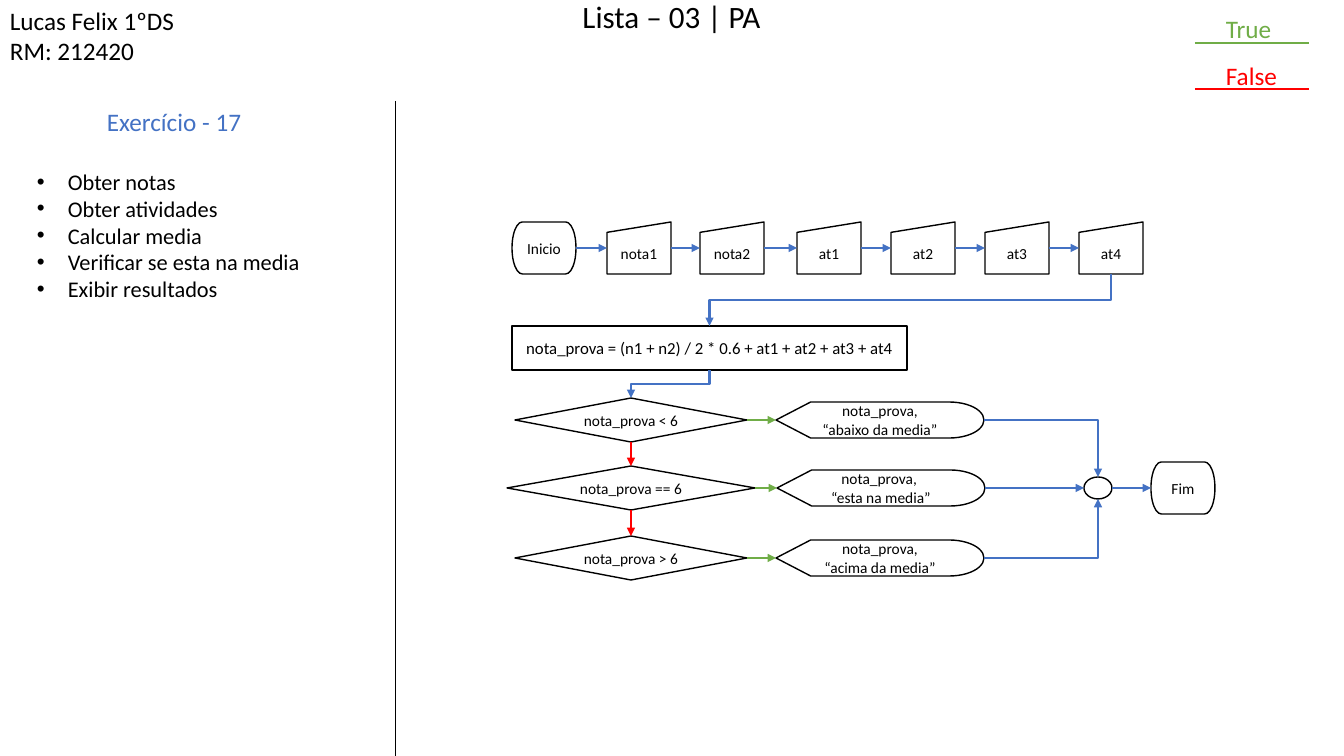
import pptx
import pptx.util
import pptx.dml.color
import pptx.enum.shapes
import pptx.enum.text
import pptx.oxml
import pptx.oxml.ns

SCALE = 914400 / 100.8
BLACK, BLUE, GREEN, RED = "000000", "4472C4", "70AD47", "FF0000"
TOP, LEFT, BOTTOM, RIGHT = range(4)
SHAPE = pptx.enum.shapes.MSO_SHAPE
LINK = pptx.enum.shapes.MSO_CONNECTOR
ALIGN = pptx.enum.text.PP_ALIGN
ANCHOR = pptx.enum.text.MSO_ANCHOR
qn = pptx.oxml.ns.qn


def emu(px):
    """Turn pixels into EMU."""
    return pptx.util.Emu(round(px * SCALE))


def rgb(value):
    """Turn a hex string into a colour."""
    return pptx.dml.color.RGBColor.from_string(value)


def element(xml):
    """Parse one element of the drawing namespace."""
    return pptx.oxml.parse_xml(xml.replace("/>", f" {pptx.oxml.ns.nsdecls('a')}/>", 1))


def write(tf, lines, size, color=BLACK, align=ALIGN.LEFT):
    """Fill a text frame with one paragraph per line."""
    tf.word_wrap = True
    for i, line in enumerate(lines):
        p = tf.add_paragraph() if i else tf.paragraphs[0]
        p.alignment = align
        r = p.add_run()
        r.text = line
        r.font.name = "Calibri"
        r.font.size = pptx.util.Pt(size)
        r.font.color.rgb = rgb(color)


def label(s, box, lines, size, color=BLACK):
    """Add a text box and return its text frame."""
    tf = s.shapes.add_textbox(*map(emu, box)).text_frame
    write(tf, lines, size, color)
    return tf


def node(s, kind, box, lines=(), size=11):
    """Add an outlined flowchart symbol with centred text."""
    sp = s.shapes.add_shape(kind, *map(emu, box))
    sp.shadow.inherit = False
    sp.fill.background()
    sp.line.color.rgb = rgb(BLACK)
    sp.line.width = pptx.util.Pt(1)
    sp.text_frame.vertical_anchor = ANCHOR.MIDDLE
    write(sp.text_frame, lines, size, align=ALIGN.CENTER)
    return sp


def line(s, points, color, width=1.5, kind=LINK.STRAIGHT):
    """Add a plain connector between two points in EMU."""
    c = s.shapes.add_connector(kind, *points)
    c.line.color.rgb = rgb(color)
    c.line.width = pptx.util.Pt(width)
    c._element.spPr.append(element("<a:effectLst/>"))
    return c


def site(sp, side):
    """Return the middle of one side of a shape."""
    x, y = sp.left + sp.width // 2, sp.top + sp.height // 2
    return ((x, sp.top), (sp.left, y), (x, sp.top + sp.height), (sp.left + sp.width, y))[side]


def arrow(s, start, out, end, into, color=BLUE, kind=LINK.STRAIGHT):
    """Add an arrow attached to the sides of two shapes."""
    c = line(s, site(start, out) + site(end, into), color, kind=kind)
    c.begin_connect(start, out)
    c.end_connect(end, into)
    for sp, tag, side in ((start, "a:stCxn", out), (end, "a:endCxn", into)):
        if sp.auto_shape_type == SHAPE.OVAL:
            next(c._element.iter(qn(tag))).set("idx", str(2 * side))
    c.line._ln.append(element('<a:tailEnd type="triangle"/>'))
    return c


def step_down(s, start, end):
    """Add an elbow arrow that leaves downwards and steps to the left."""
    c = arrow(s, start, BOTTOM, end, TOP, kind=LINK.ELBOW)
    (x1, y1), (x2, y2) = site(start, BOTTOM), site(end, TOP)
    w, h = y2 - y1, x1 - x2
    xfrm = c._element.spPr.find(qn("a:xfrm"))
    for name in ("flipH", "flipV"):
        xfrm.attrib.pop(name, None)
    xfrm.set("rot", "5400000")
    c.left, c.top = (x1 + x2 - w) // 2, (y1 + y2 - h) // 2
    c.width, c.height = w, h


def header(s, x, y):
    """Place the list title and the student's details."""
    title = s.shapes.title
    title.left, title.top, title.width, title.height = map(emu, (x + 539, y, 265, 42))
    tf = title.text_frame
    write(tf, ["Lista – 03 | PA"], 22.2, align=ALIGN.CENTER)
    tf.auto_size = pptx.enum.text.MSO_AUTO_SIZE.NONE
    tf.vertical_anchor = ANCHOR.TOP
    tf.paragraphs[0].line_spacing = 0.8
    tf.paragraphs[0].space_before = pptx.util.Pt(10)
    label(s, (x, y, 222, 72), ["Lucas Felix 1ºDS", "RM: 212420"], 18)


def legend(s, x, y):
    """Place the key of branch colours."""
    for i, (text, color) in enumerate((("True", GREEN), ("False", RED))):
        label(s, (x + 21, y + 47 * i, 100, 40), [text], 18, color)
        rule = y + 35 + 46 * i
        line(s, map(emu, (x, rule, x + 114, rule)), color)


def tasks(s, x, y):
    """Place the exercise heading, its steps and the divider."""
    line(s, map(emu, (x + 395, y, x + 395, y + 655)), BLACK, 0.5)
    label(s, (x + 97, y, 222, 40), ["Exercício - 17"], 18, BLUE)
    steps = ["Obter notas", "Obter atividades", "Calcular media",
             "Verificar se esta na media", "Exibir resultados"]
    for p in label(s, (x + 27, y + 62, 359, 173), steps, 16).paragraphs:
        pPr = p._p.get_or_add_pPr()
        pPr.set("marL", str(emu(31)))
        pPr.set("indent", str(-emu(31)))
        pPr.append(element('<a:buFont typeface="Arial"/>'))
        pPr.append(element('<a:buChar char="•"/>'))


def flowchart(s, x, y):
    """Place the grade flowchart and its arrows."""
    previous = node(s, SHAPE.FLOWCHART_TERMINATOR, (x + 5, y, 64, 52), ["Inicio"])
    inputs = zip((100, 193, 290, 384, 478, 572), ("nota1", "nota2", "at1", "at2", "at3", "at4"))
    for left, name in inputs:
        entry = node(s, SHAPE.FLOWCHART_MANUAL_INPUT, (x + left, y, 64, 52), [name])
        arrow(s, previous, RIGHT, entry, LEFT)
        previous = entry
    formula = node(s, SHAPE.RECTANGLE, (x + 5, y + 104, 395, 44),
                   ["nota_prova = (n1 + n2) / 2 * 0.6 + at1 + at2 + at3 + at4"], 12)
    step_down(s, previous, formula)

    join = node(s, SHAPE.OVAL, (x + 577, y + 255, 28, 22))
    finish = node(s, SHAPE.FLOWCHART_TERMINATOR, (x + 644, y + 240, 64, 52), ["Fim"])
    arrow(s, join, RIGHT, finish, LEFT)

    branches = (
        (198, 232, 269, "<", ["nota_prova, “abaixo da media”"], TOP),
        (266, 248, 270, "==", ["nota_prova, ", "“esta na media”"], LEFT),
        (336, 232, 269, ">", ["nota_prova, “acima da media”"], BOTTOM))
    previous = None
    for middle, width, left, sign, message, into in branches:
        test = node(s, SHAPE.FLOWCHART_DECISION, (x + 124 - width / 2, y + middle - 22, width, 44),
                    [f"nota_prova {sign} 6"])
        result = node(s, SHAPE.FLOWCHART_DISPLAY, (x + left, y + middle - 18, 208, 36), message)
        arrow(s, test, RIGHT, result, LEFT, GREEN)
        if previous is None:
            step_down(s, formula, test)
        else:
            arrow(s, previous, BOTTOM, test, TOP, RED)
        if into == LEFT:
            arrow(s, result, RIGHT, join, into)
        else:
            c = arrow(s, result, RIGHT, join, into, kind=LINK.ELBOW)
            c._element.spPr.find(qn("a:prstGeom")).set("prst", "bentConnector2")
        previous = test


prs = pptx.Presentation()
prs.slide_width, prs.slide_height = emu(1344), emu(756)
s = prs.slides.add_slide(prs.slide_layouts[5])
header(s, 0, 0)
legend(s, 1195, 8)
tasks(s, 0, 101)
flowchart(s, 507, 222)
prs.save("out.pptx")
